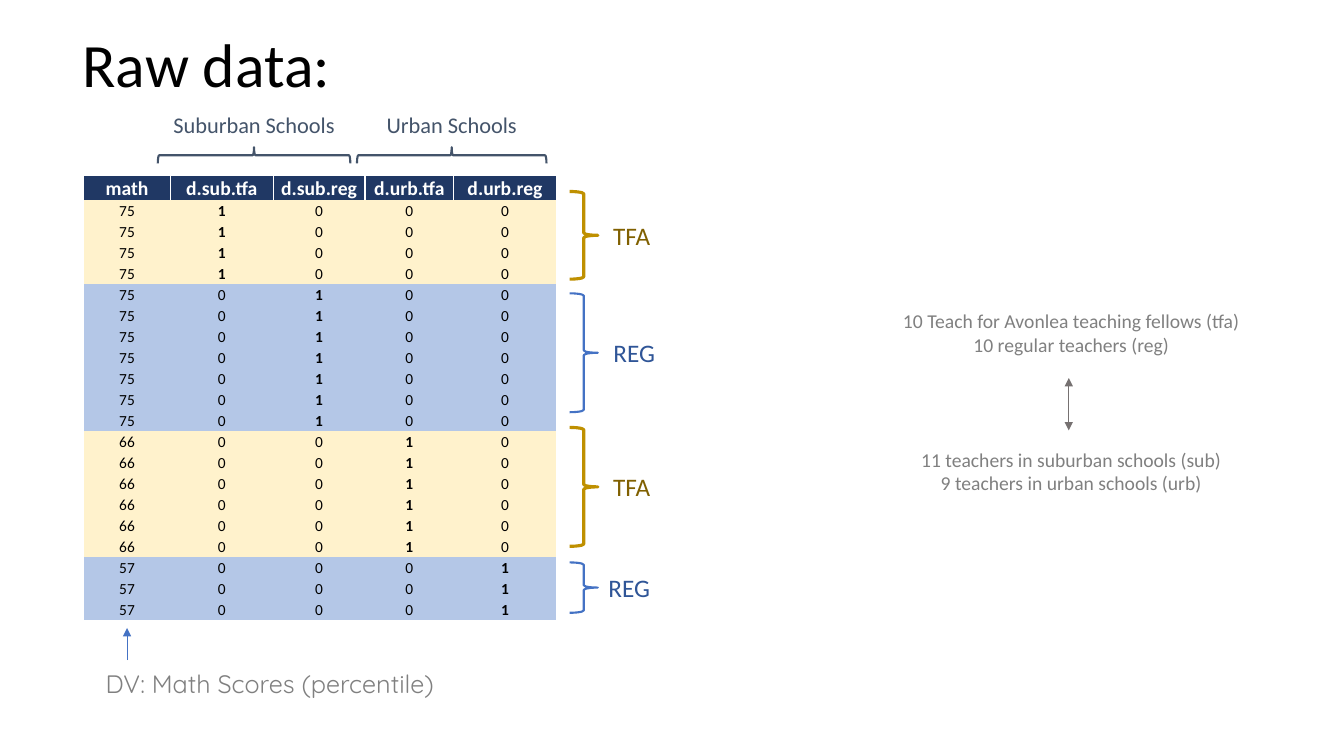
from lxml.etree import SubElement
from pptx import Presentation
from pptx.dml.color import RGBColor
from pptx.enum.shapes import MSO_CONNECTOR, MSO_SHAPE
from pptx.enum.text import MSO_ANCHOR, PP_ALIGN
from pptx.oxml.ns import qn
from pptx.util import Inches, Pt

WHITE = RGBColor(0xFF, 0xFF, 0xFF)
BLACK = RGBColor(0x00, 0x00, 0x00)
NAVY = RGBColor(0x20, 0x38, 0x64)
CREAM = RGBColor(0xFF, 0xF2, 0xCC)
PALE_BLUE = RGBColor(0xB4, 0xC7, 0xE7)
GOLD = RGBColor(0xBF, 0x90, 0x00)
DARK_GOLD = RGBColor(0x80, 0x60, 0x00)
BLUE = RGBColor(0x44, 0x72, 0xC4)
DARK_BLUE = RGBColor(0x2F, 0x55, 0x97)
SLATE = RGBColor(0x44, 0x54, 0x6A)
GRAY = RGBColor(0x80, 0x80, 0x80)
ARROW_GRAY = RGBColor(0x76, 0x71, 0x71)

HEADERS = ["math", "d.sub.tfa", "d.sub.reg", "d.urb.tfa", "d.urb.reg"]
# math score, number of teachers, teacher type; group n is flagged in column n
GROUPS = [(75, 4, "TFA"), (75, 7, "REG"), (66, 6, "TFA"), (57, 3, "REG")]
# row fill, brace colour, brace weight, label colour, label width
TYPES = {
    "TFA": (CREAM, GOLD, 2.25, DARK_GOLD, 0.57),
    "REG": (PALE_BLUE, BLUE, 1.5, DARK_BLUE, 0.62),
}
# brace top, brace height, label left for each group
GROUP_BRACES = [(1.9, 0.87, 5.98), (2.91, 1.18, 5.98), (4.24, 1.18, 5.98), (5.58, 0.5, 5.93)]
# label, label width, brace centre, brace length
SCHOOLS = [("Suburban Schools", 1.82, 2.52, 1.91), ("Urban Schools", 1.51, 4.48, 1.88)]
# lines, left, top, width
NOTES = [
    (["10 Teach for Avonlea teaching fellows (tfa)", "10 regular teachers (reg)"], 8.83, 3.02, 3.59),
    (["11 teachers in suburban schools (sub)", "9 teachers in urban schools (urb)"], 9.02, 4.39, 3.21),
]

TABLE_LEFT, TABLE_TOP = 0.83, 1.74
COLUMN_WIDTHS = [0.86, 1.02, 0.91, 0.88, 1.02]
ROW_HEIGHT = 5 / 24
BRACE_LEFT, BRACE_DEPTH = 5.65, 0.28
SCHOOL_BRACE_MIDDLE, SCHOOL_BRACE_DEPTH = 1.54, 0.16


def write(frame, lines, size, color, font="Calibri", bold=False,
          align=PP_ALIGN.CENTER, spacing=None):
    """Fill a text frame with one formatted paragraph per line."""
    for index, line in enumerate(lines):
        para = frame.add_paragraph() if index else frame.paragraphs[0]
        para.alignment = align
        para.line_spacing = spacing
        span = para.add_run()
        span.text = line
        span.font.name, span.font.size = font, Pt(size)
        span.font.bold, span.font.color.rgb = bold, color


def add_text(page, lines, left, top, width, height, wrap=False,
             anchor=MSO_ANCHOR.TOP, **style):
    """Add a text box holding the given lines."""
    box = page.shapes.add_textbox(*map(Inches, (left, top, width, height)))
    box.text_frame.word_wrap = wrap
    box.text_frame.vertical_anchor = anchor
    write(box.text_frame, lines, **style)


def add_brace(page, left, top, width, height, color, weight, rotation=0):
    """Add an outlined right brace."""
    brace = page.shapes.add_shape(MSO_SHAPE.RIGHT_BRACE, *map(Inches, (left, top, width, height)))
    brace.shadow.inherit = False
    brace.fill.background()
    brace.line.color.rgb, brace.line.width = color, Pt(weight)
    brace.rotation = rotation


def add_arrow(page, x, start, end, color, ends):
    """Add a thin vertical line with triangles at the named ends."""
    arrow = page.shapes.add_connector(MSO_CONNECTOR.STRAIGHT, *map(Inches, (x, start, x, end)))
    arrow.line.color.rgb, arrow.line.width = color, Pt(0.5)
    properties = arrow._element.spPr
    for name in ends:
        SubElement(properties.find(qn("a:ln")), qn("a:" + name), type="triangle")
    SubElement(properties, qn("a:effectLst"))


def set_borders(cell, white_sides):
    """Draw white borders on the given sides and none on the others."""
    properties = cell._tc.get_or_add_tcPr()
    for side in "LRTB":
        line = SubElement(properties, qn("a:ln" + side), w=str(Pt(1)))
        if side in white_sides:
            fill = SubElement(line, qn("a:solidFill"))
            SubElement(fill, qn("a:srgbClr"), val=str(WHITE))
        else:
            SubElement(line, qn("a:noFill"))


def fill_cell(cell, text, fill, white_sides="", **style):
    """Set the text, fill and borders of one table cell."""
    set_borders(cell, white_sides)
    cell.fill.solid()
    cell.fill.fore_color.rgb = fill
    cell.margin_left = cell.margin_right = cell.margin_top = Inches(0.01)
    cell.margin_bottom = 0
    cell.vertical_anchor = MSO_ANCHOR.BOTTOM
    write(cell.text_frame, [str(text)], **style)


def add_scores(page):
    """Add the table of scores and dummy variables."""
    records = [(score, flagged, TYPES[kind][0])
               for flagged, (score, count, kind) in enumerate(GROUPS, 1)
               for _ in range(count)]
    rows = len(records) + 1
    table = page.shapes.add_table(
        rows, len(HEADERS), Inches(TABLE_LEFT), Inches(TABLE_TOP),
        Inches(sum(COLUMN_WIDTHS)), Inches(rows * ROW_HEIGHT)).table
    table.first_row = table.horz_banding = False
    for column, width in zip(table.columns, COLUMN_WIDTHS):
        column.width = Inches(width)
    for row in table.rows:
        row.height = Inches(ROW_HEIGHT)
    for column, header in enumerate(HEADERS):
        fill_cell(table.cell(0, column), header, NAVY, "LRT", size=14, color=WHITE, bold=True)
    for row, (score, flagged, fill) in enumerate(records, 1):
        for column in range(len(HEADERS)):
            value = int(column == flagged) if column else score
            fill_cell(table.cell(row, column), value, fill,
                      size=11, color=BLACK, bold=column == flagged)


deck = Presentation()
deck.slide_width, deck.slide_height = Inches(13.33), Inches(7.5)
page = deck.slides.add_slide(deck.slide_layouts[6])

add_text(page, ["Raw data:"], 0.72, -0.06, 11.5, 1.45, wrap=True, anchor=MSO_ANCHOR.MIDDLE,
         size=44, color=BLACK, align=PP_ALIGN.LEFT, spacing=0.9)
add_scores(page)

for (_, _, kind), (top, height, label_left) in zip(GROUPS, GROUP_BRACES):
    _, color, weight, label_color, label_width = TYPES[kind]
    add_brace(page, BRACE_LEFT, top, BRACE_DEPTH, height, color, weight)
    add_text(page, [kind], label_left, top + height / 2 - 0.2, label_width, 0.4,
             size=18, color=label_color)

for label, width, center, length in SCHOOLS:
    add_brace(page, center - SCHOOL_BRACE_DEPTH / 2, SCHOOL_BRACE_MIDDLE - length / 2,
              SCHOOL_BRACE_DEPTH, length, SLATE, 1.5, rotation=270)
    add_text(page, [label], center - width / 2, 1.05, width, 0.37, size=16, color=SLATE)

add_arrow(page, TABLE_LEFT + COLUMN_WIDTHS[0] / 2, 6.55, 6.23, BLUE, ["tailEnd"])
add_text(page, ["DV: Math Scores (percentile)"], 0.95, 6.58, 3.84, 0.4,
         size=18, color=GRAY, font="Quicksand", align=PP_ALIGN.LEFT)

for lines, left, top, width in NOTES:
    add_text(page, lines, left, top, width, 0.57, size=14, color=GRAY)
add_arrow(page, 10.6, 3.75, 4.27, ARROW_GRAY, ["headEnd", "tailEnd"])

deck.save("out.pptx")
